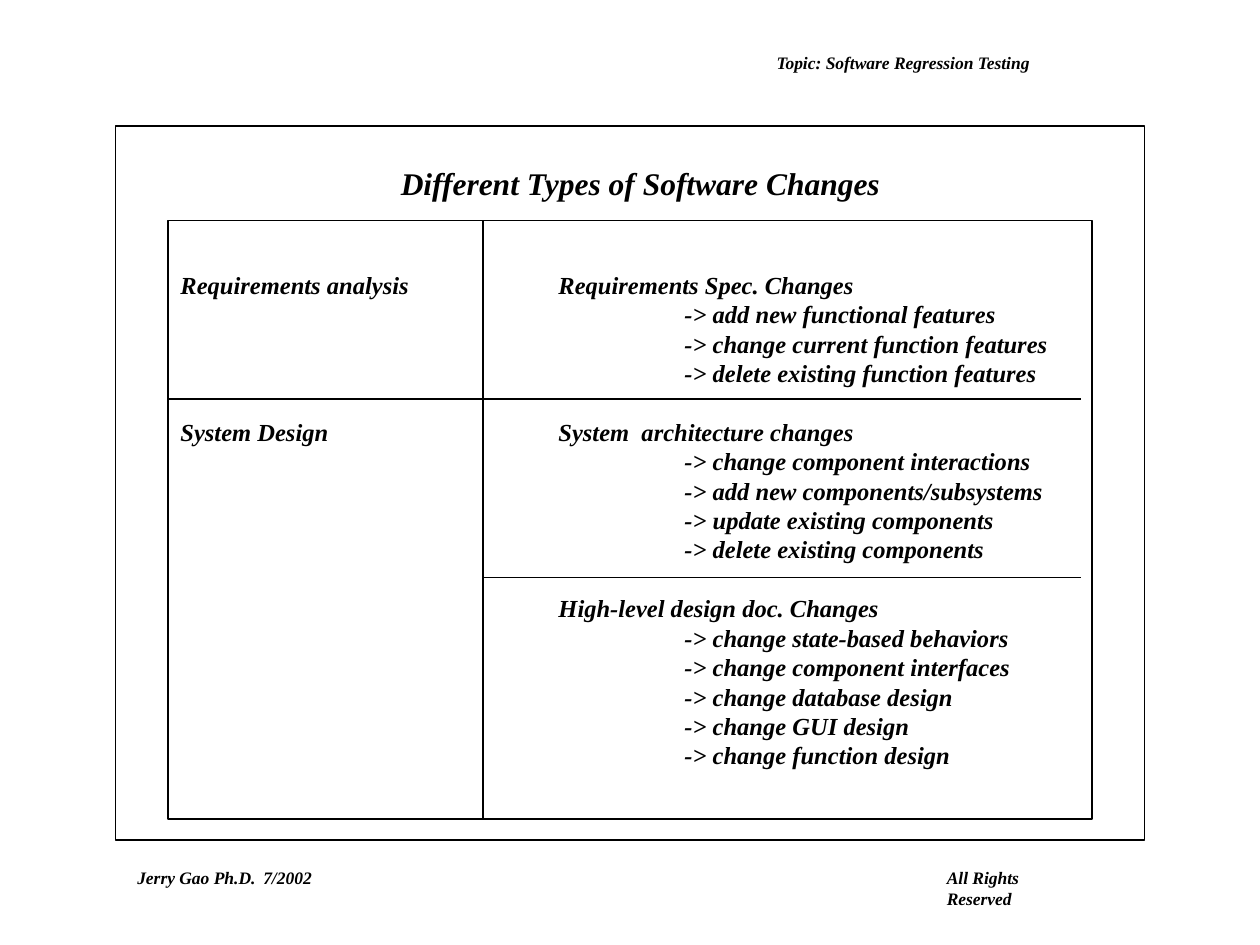
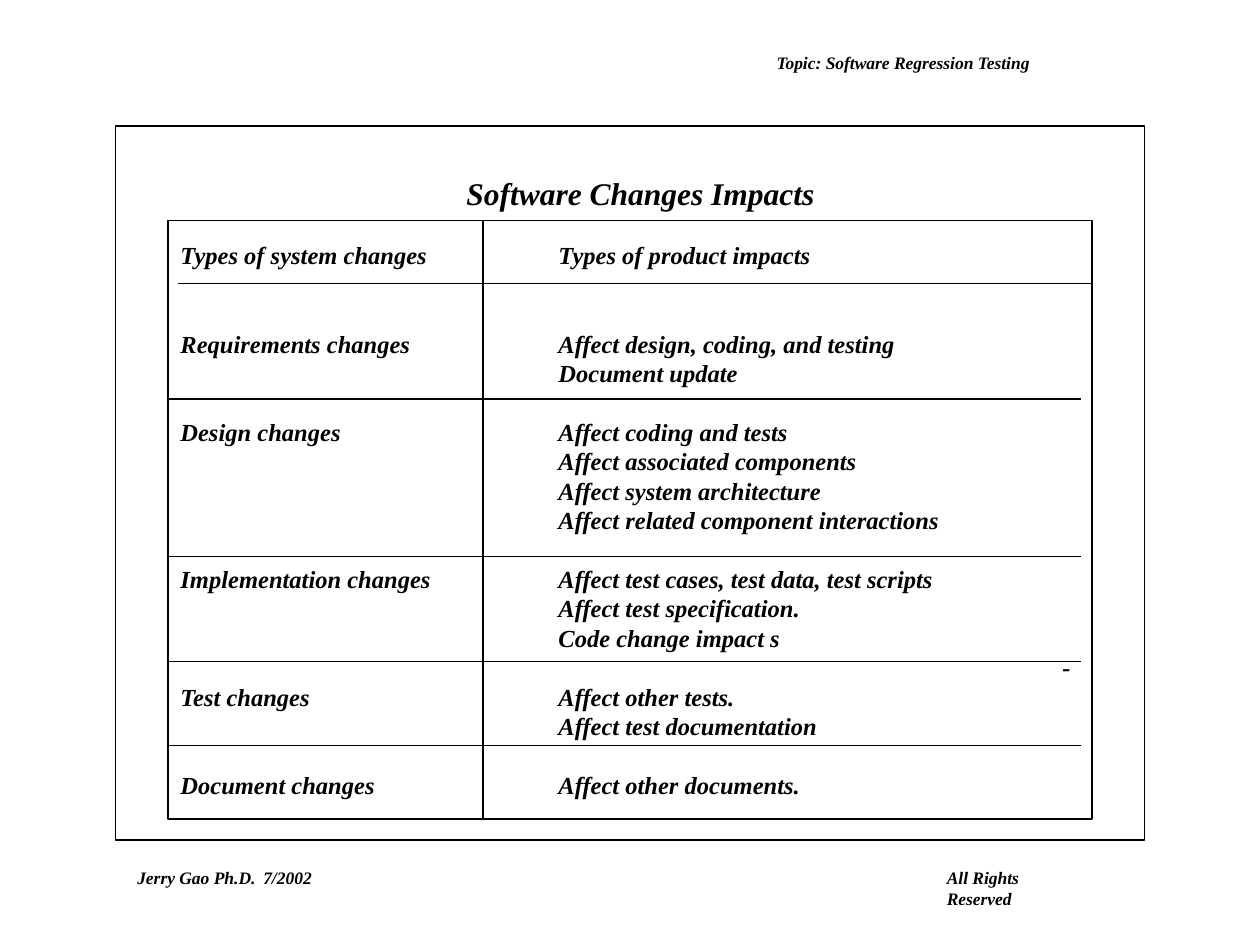
from dataclasses import dataclass

from lxml.etree import SubElement
from pptx import Presentation
from pptx.dml.color import RGBColor as Rgb
from pptx.enum.shapes import MSO_CONNECTOR as Wire, MSO_SHAPE as Form
from pptx.enum.text import MSO_ANCHOR as Anchor, MSO_AUTO_SIZE as Fit, PP_ALIGN as Align
from pptx.oxml.ns import qn
from pptx.util import Inches, Pt


@dataclass(frozen=True)
class Theme:
    """Hold the colours, type sizes and measures of the deck."""
    ink: Rgb = Rgb(0, 0, 0)
    face: str = "Times New Roman"
    small: int = 10
    body: int = 14
    head: int = 18
    rule: float = 0.75
    gap: float = 16.8


THEME = Theme()
TOPIC = "Topic: Software Regression Testing"
LEFT, MID, EDGE = 16, 46, 103
TOP, FOOT = 21, 78
STOP = {"text": 3, "->": 4, "-": 7}

TYPES = [
    (0, "Requirements analysis", [
        "Requirements Spec. Changes",
        "-> add new functional features",
        "-> change current function features",
        "-> delete existing function features"]),
    (1, "System Design", [
        "System  architecture changes",
        "-> change component interactions",
        "-> add new components/subsystems",
        "-> update existing components",
        "-> delete existing components"]),
    (1, "", [
        "High-level design doc. Changes",
        "-> change state-based behaviors",
        "-> change component interfaces",
        "-> change database design",
        "-> change GUI design",
        "-> change function design"]),
]

IMPACTS = [
    (0, "Types of system changes", ["Types of product impacts"]),
    (2, "Requirements changes", [
        "Affect design, coding, and testing", "Document update"]),
    (1, "Design changes", [
        "Affect coding and tests",
        "Affect associated components",
        "Affect system architecture",
        "Affect related component interactions"]),
    (1, "Implementation changes", [
        "Affect test cases, test data, test scripts",
        "Affect test specification.",
        "Code change impact s",
        "-"]),
    (0, "Test changes", ["Affect other tests.", "Affect test documentation"]),
    (1, "Document changes", ["Affect other documents."]),
]


def grid(*cells):
    """Turn grid cells, twelve to the inch, into lengths."""
    return [Inches(cell / 12) for cell in cells]


def style(para, size, align=Align.LEFT):
    """Set the shared bold italic type on a paragraph."""
    para.alignment = align
    font = para.font
    font.name, font.size = THEME.face, Pt(size)
    font.bold = font.italic = True
    font.color.rgb = THEME.ink


def set_tab(para, inch):
    """Give a paragraph one left tab stop."""
    tabs = SubElement(para._p.get_or_add_pPr(), qn("a:tabLst"))
    SubElement(tabs, qn("a:tab"), pos=str(Inches(inch)), algn="l")


def add_topic(slide):
    """Place the topic in the title placeholder."""
    title = slide.shapes.title
    title.left, title.top, title.width, title.height = grid(64, 4, 44, 4)
    frame = title.text_frame
    frame.text = TOPIC
    frame.auto_size, frame.vertical_anchor = Fit.NONE, Anchor.MIDDLE
    style(frame.paragraphs[0], THEME.small, Align.CENTER)


def add_text(slide, text, cells, size, align=Align.LEFT, wrap=False, tab=None):
    """Add a one-line text box."""
    frame = slide.shapes.add_textbox(*grid(*cells)).text_frame
    frame.word_wrap, frame.auto_size = wrap, Fit.SHAPE_TO_FIT_TEXT
    para = frame.paragraphs[0]
    para.text = text
    if tab:
        set_tab(para, tab)
    style(para, size, align)


def add_box(slide, cells):
    """Add an outlined, unfilled rectangle."""
    box = slide.shapes.add_shape(Form.RECTANGLE, *grid(*cells))
    box.shadow.inherit = False
    box.fill.background()
    box.line.color.rgb, box.line.width = THEME.ink, Pt(THEME.rule)
    return box


def add_rule(slide, *ends):
    """Draw a straight line between two grid points."""
    line = slide.shapes.add_connector(Wire.STRAIGHT, *grid(*ends))
    line.line.color.rgb, line.line.width = THEME.ink, Pt(THEME.rule)
    SubElement(line._element.spPr, qn("a:effectLst"))


def add_list(slide, rows):
    """Write labelled rows into the ruled box."""
    frame = add_box(slide, (LEFT, TOP, 88, FOOT - TOP)).text_frame
    frame.word_wrap, frame.vertical_anchor = True, Anchor.MIDDLE
    para = None
    for gap, label, lines in rows:
        for spot, text in enumerate(lines):
            para = frame.add_paragraph() if para else frame.paragraphs[0]
            if label and spot == 0:
                para.text = f"{label}\t{text}"
                set_tab(para, STOP["text"])
            else:
                para.text = text
                stop = STOP.get(text.split()[0], STOP["text"])
                para._p.get_or_add_pPr().set("marL", str(Inches(stop)))
            para.space_before = Pt(0 if spot else gap * THEME.gap)
            style(para, THEME.body)


def add_page(deck, head, top, rows, rules):
    """Build one slide with its shared frame, list and rules."""
    slide = deck.slides.add_slide(deck.slide_layouts[5])
    add_topic(slide)
    add_list(slide, rows)
    add_text(slide, "Jerry Gao Ph.D.\t7/2002", (11.9, 82, 19, 3.2), THEME.small, tab=1)
    add_text(slide, head, (32, top, 58, 4.8), THEME.head, Align.CENTER, wrap=True)
    add_box(slide, (11, 12, 98, 68))
    add_text(slide, "All Rights Reserved", (89, 82, 15.8, 3.2), THEME.small)
    for start, row, end in rules:
        add_rule(slide, start, row, end, row)
    add_rule(slide, MID, TOP, MID, FOOT)


def main():
    """Build and save the deck."""
    deck = Presentation()
    deck.slide_width, deck.slide_height = grid(120, 90)
    add_page(deck, "Different Types of Software Changes", 15, TYPES,
             [(LEFT, 38, EDGE), (MID, 55, EDGE)])
    add_page(deck, "Software Changes Impacts", 16, IMPACTS,
             [(LEFT, row, EDGE) for row in (38, 53, 63, 71)]
             + [(LEFT + 1, 27, EDGE + 1)])
    deck.save("out.pptx")


if __name__ == "__main__":
    main()
